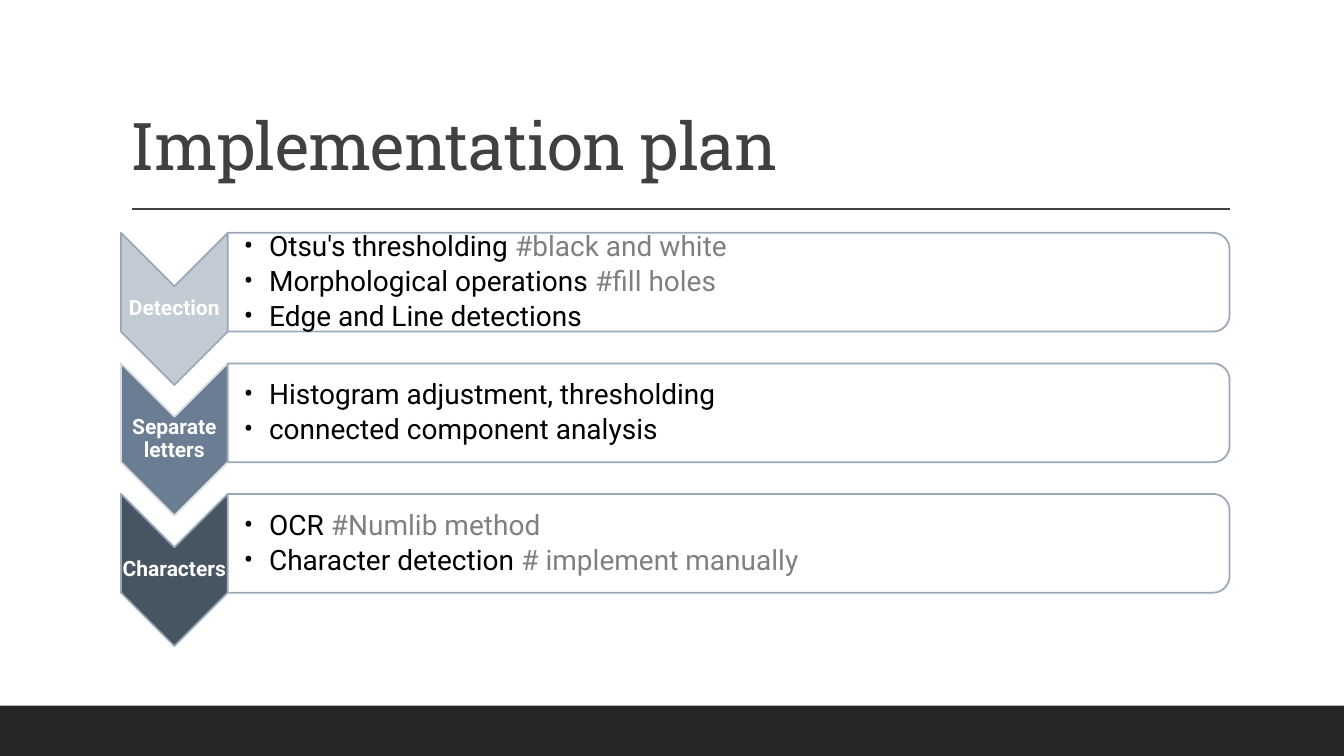
from pptx import Presentation
from pptx.dml.color import RGBColor
from pptx.enum.shapes import MSO_CONNECTOR as Link, MSO_SHAPE as Kind
from pptx.enum.text import MSO_ANCHOR as Anchor, PP_ALIGN as Align
from pptx.oxml.ns import qn
from pptx.util import Pt
from lxml.etree import SubElement

PX = 4572  # 200 px to the inch
TOP, STEP = 462, 259
DARK, EDGE, NOTE = "404040", "9BA8B7", "808080"

# Label, fill, edge, and bullets as (text, note)
STAGES = [
    ("Detection", "C3CBD4", EDGE, [
        ("Otsu's thresholding ", "#black and white"),
        ("Morphological operations ", "#fill holes"),
        ("Edge and Line detections", "")]),
    ("Separate letters", "6A7D93", "D7DCE2", [
        ("Histogram adjustment, thresholding", ""),
        ("connected component analysis", "")]),
    ("Characters", "475462", EDGE, [
        ("OCR ", "#Numlib method"),
        ("Character detection ", "# implement manually")]),
]


def color(code):
    return RGBColor.from_string(code)


def scale(*sizes):
    return [size * PX for size in sizes]


def add_block(slide, kind, box, fill, edge=None, turn=0):
    """Draw a shape whose visible box, after any quarter turn, is given."""
    x, y, w, h = box
    if turn:
        x, y, w, h = x + (w - h) // 2, y + (h - w) // 2, h, w
    block = slide.shapes.add_shape(kind, *scale(x, y, w, h))
    block.rotation = turn
    block.shadow.inherit = False
    block.fill.solid()
    block.fill.fore_color.rgb = color(fill)
    if edge:
        block.line.color.rgb = color(edge)
        block.line.width = Pt(1.25)
    else:
        block.line.fill.background()


def add_rule(slide, x, y, end):
    rule = slide.shapes.add_connector(Link.STRAIGHT, *scale(x, y, end, y))
    rule.line.color.rgb = color(DARK)
    rule.line.width = Pt(1)
    SubElement(rule._element.spPr, qn("a:effectLst"))


def add_frame(slide, box, anchor, inset=None):
    frame = slide.shapes.add_textbox(*scale(*box)).text_frame
    frame.word_wrap = True
    frame.vertical_anchor = anchor
    if inset is not None:
        frame.margin_left = inset * PX
        frame.margin_right = frame.margin_top = frame.margin_bottom = 2 * PX
    return frame


def style(para, face, size, tint, bold=False):
    para.line_spacing = 0.9
    para.font.name = face
    para.font.size = Pt(size)
    para.font.bold = bold
    para.font.color.rgb = color(tint)


def add_title(slide, text):
    para = add_frame(slide, (240, 58, 2200, 318), Anchor.BOTTOM).paragraphs[0]
    run = para.add_run()
    run.text = text
    run._r.get_or_add_rPr().set("spc", "-50")
    style(para, "Roboto Slab", 47, DARK)


def add_label(slide, box, text):
    para = add_frame(slide, box, Anchor.MIDDLE, 2).paragraphs[0]
    para.text = text
    para.alignment = Align.CENTER
    style(para, "Roboto", 15, "FFFFFF", True)


def add_list(slide, box, items):
    frame = add_frame(slide, box, Anchor.MIDDLE, 32)
    for i, (text, note) in enumerate(items):
        para = frame.add_paragraph() if i else frame.paragraphs[0]
        props = para._p.get_or_add_pPr()
        props.set("marL", str(50 * PX))
        props.set("indent", str(-50 * PX))
        SubElement(props, qn("a:buFont"), typeface="Roboto")
        SubElement(props, qn("a:buChar"), char="•")
        para.space_after = Pt(3.5)
        style(para, "Roboto", 20, "000000")
        para.add_run().text = text
        if note:
            run = para.add_run()
            run.text = note
            run.font.color.rgb = color(NOTE)


def add_stage(slide, y, label, fill, edge, items):
    add_block(slide, Kind.CHEVRON, (240, y, 212, 302), fill, edge, 90)
    add_label(slide, (240, y + 106, 212, 90), label)
    add_block(slide, Kind.ROUND_2_SAME_RECTANGLE, (452, y, 1988, 196),
              "FFFFFF", EDGE, 90)
    add_list(slide, (452, y + 10, 1978, 178), items)


def main():
    deck = Presentation()
    deck.slide_width, deck.slide_height = scale(2667, 1500)
    slide = deck.slides.add_slide(deck.slide_layouts[6])

    # Footer band and heading
    add_block(slide, Kind.RECTANGLE, (0, 1400, 2667, 100), "262626")
    add_rule(slide, 262, 415, 2441)
    add_title(slide, "Implementation plan")

    # Stages from top to bottom
    for i, stage in enumerate(STAGES):
        add_stage(slide, TOP + i * STEP, *stage)

    deck.save("out.pptx")


if __name__ == "__main__":
    main()
